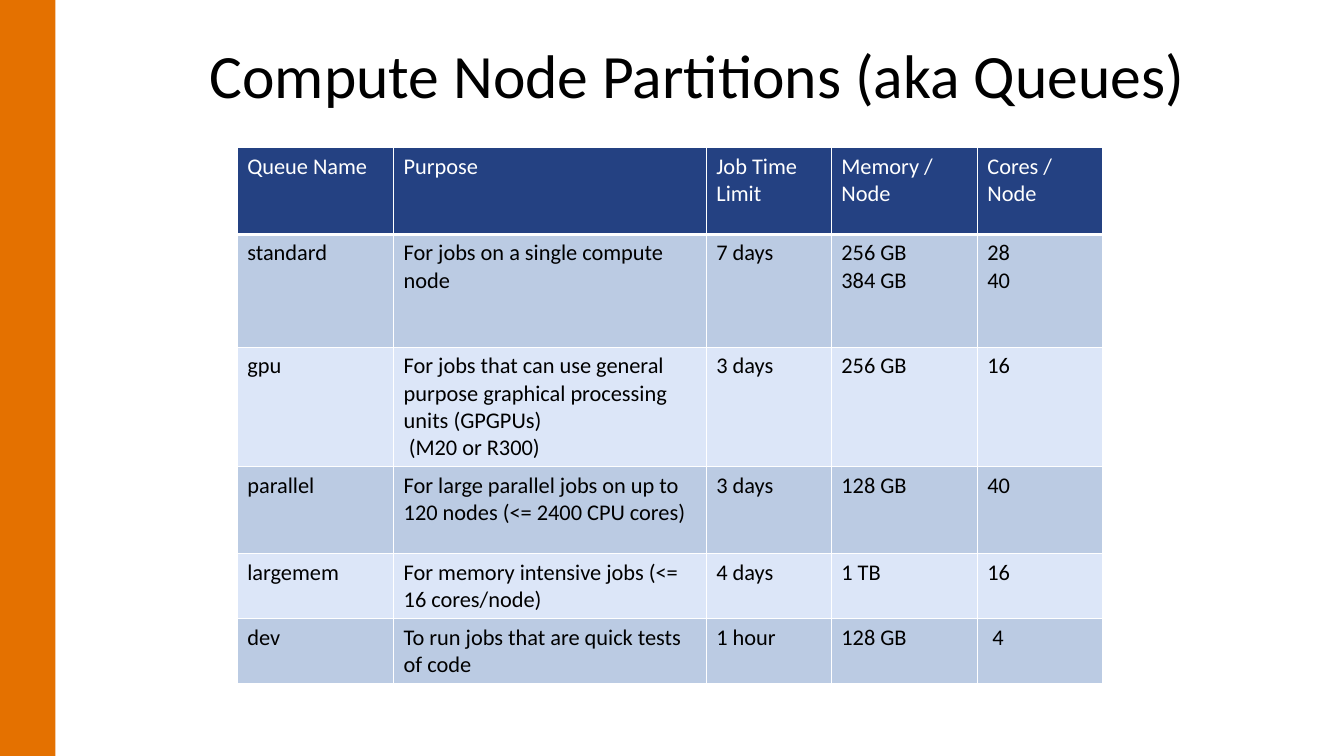
"""Build a slide with a table of compute node partitions."""
from lxml import etree
from pptx import Presentation
from pptx.dml.color import RGBColor
from pptx.enum import shapes, text
from pptx.oxml import ns
from pptx.util import Cm, Pt

TITLE = "Compute Node Partitions (aka Queues)"
ROWS = [
    ("Queue Name", "Purpose", "Job Time Limit", "Memory / Node", "Cores / Node"),
    ("standard", "For jobs on a single compute node", "7 days", "256 GB\n384 GB", "28\n40"),
    ("gpu", "For jobs that can use general purpose graphical processing units (GPGPUs)\n"
     " (M20 or R300)", "3 days", "256 GB", "16"),
    ("parallel", "For large parallel jobs on up to 120 nodes (<= 2400 CPU cores)",
     "3 days", "128 GB", "40"),
    ("largemem", "For memory intensive jobs (<= 16 cores/node)", "4 days", "1 TB", "16"),
    ("dev", "To run jobs that are quick tests of code", "1 hour", "128 GB", " 4"),
]
WIDTHS = [3.94, 7.88, 3.15, 3.68, 3.15]
HEIGHTS = [2.19, 2.84, 2.84, 2.19, 1.55, 1.55]
BLACK, WHITE, ORANGE, NAVY = "000000", "FFFFFF", "E47100", "244182"
BANDS = ["DCE6F8", "BBCBE3"]


def paint(fill, color):
    fill.solid()
    fill.fore_color.rgb = RGBColor.from_string(color)


def write(para, words, size, color):
    span = para.add_run()
    span.text = words
    span.font.name, span.font.size = "Calibri", Pt(size)
    span.font.bold = False
    paint(span.font.fill, color)


def add_border(cell, side, points):
    properties = cell._tc.get_or_add_tcPr()
    line = etree.SubElement(properties, ns.qn(f"a:ln{side}"), w=str(Pt(points)))
    fill = etree.SubElement(line, ns.qn("a:solidFill"))
    etree.SubElement(fill, ns.qn("a:srgbClr"), val=WHITE)


def add_title(page):
    title = page.shapes.title
    title.left, title.top, title.width, title.height = Cm(5.03), Cm(1.02), Cm(26.67), Cm(3.68)
    frame = title.text_frame
    frame.auto_size = text.MSO_AUTO_SIZE.NONE
    frame.vertical_anchor = text.MSO_ANCHOR.TOP
    para = frame.paragraphs[0]
    para.alignment = text.PP_ALIGN.LEFT
    para.line_spacing = 0.9
    write(para, TITLE, 44, BLACK)


def add_queues(page):
    table = page.shapes.add_table(len(ROWS), len(WIDTHS), Cm(5.98), Cm(3.72),
                                  Cm(sum(WIDTHS)), Cm(sum(HEIGHTS))).table
    for column, width in zip(table.columns, WIDTHS):
        column.width = Cm(width)
    for r, (values, height) in enumerate(zip(ROWS, HEIGHTS)):
        table.rows[r].height = Cm(height)
        for c, value in enumerate(values):
            cell = table.cell(r, c)
            for side in "LRTB":
                add_border(cell, side, 3 if r == 0 and side == "B" else 1)
            paint(cell.fill, BANDS[r % 2] if r else NAVY)
            for i, words in enumerate(value.split("\n")):
                frame = cell.text_frame
                para = frame.add_paragraph() if i else frame.paragraphs[0]
                write(para, words, 16, BLACK if r else WHITE)


def main():
    deck = Presentation()
    deck.slide_width, deck.slide_height = Cm(33.87), Cm(19.05)
    page = deck.slides.add_slide(deck.slide_layouts[5])
    bar = page.shapes.add_shape(shapes.MSO_SHAPE.RECTANGLE, 0, 0, Cm(1.4), deck.slide_height)
    bar.shadow.inherit = False
    bar.line.fill.background()
    paint(bar.fill, ORANGE)
    add_title(page)
    add_queues(page)
    deck.save("out.pptx")


if __name__ == "__main__":
    main()
